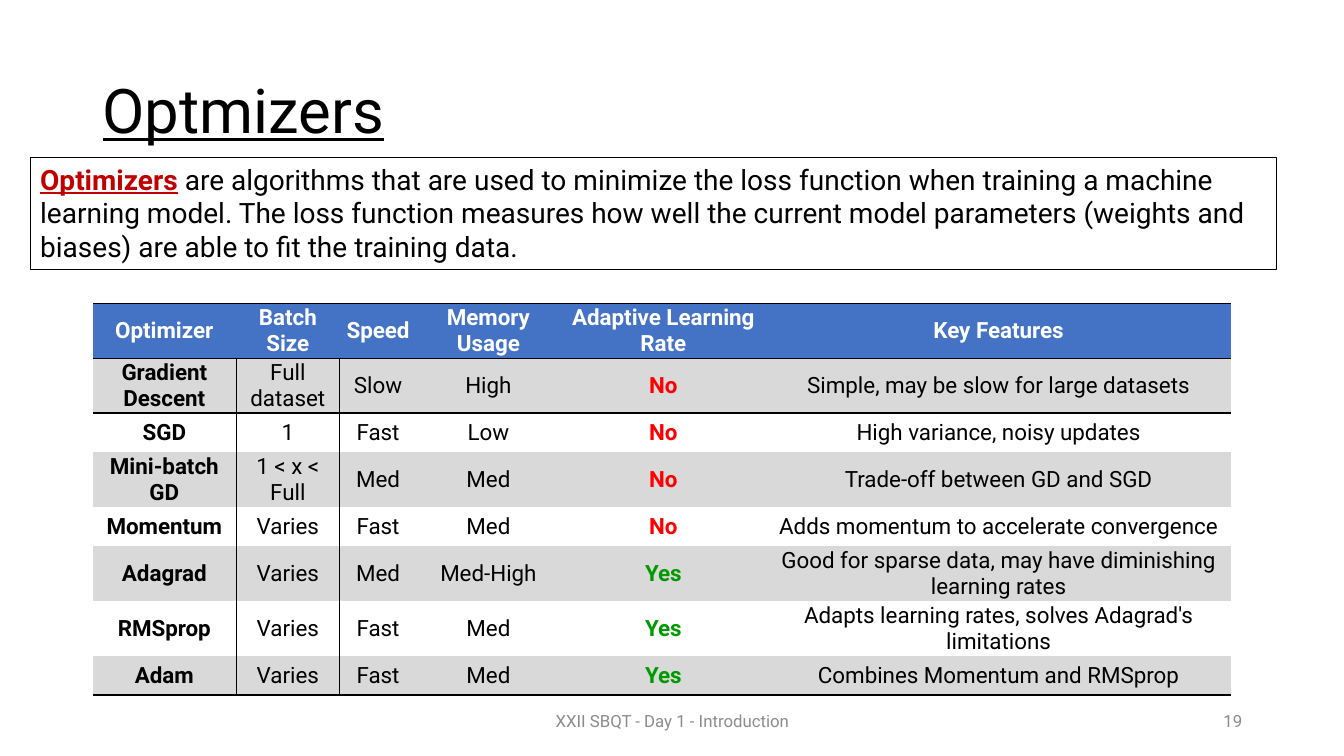
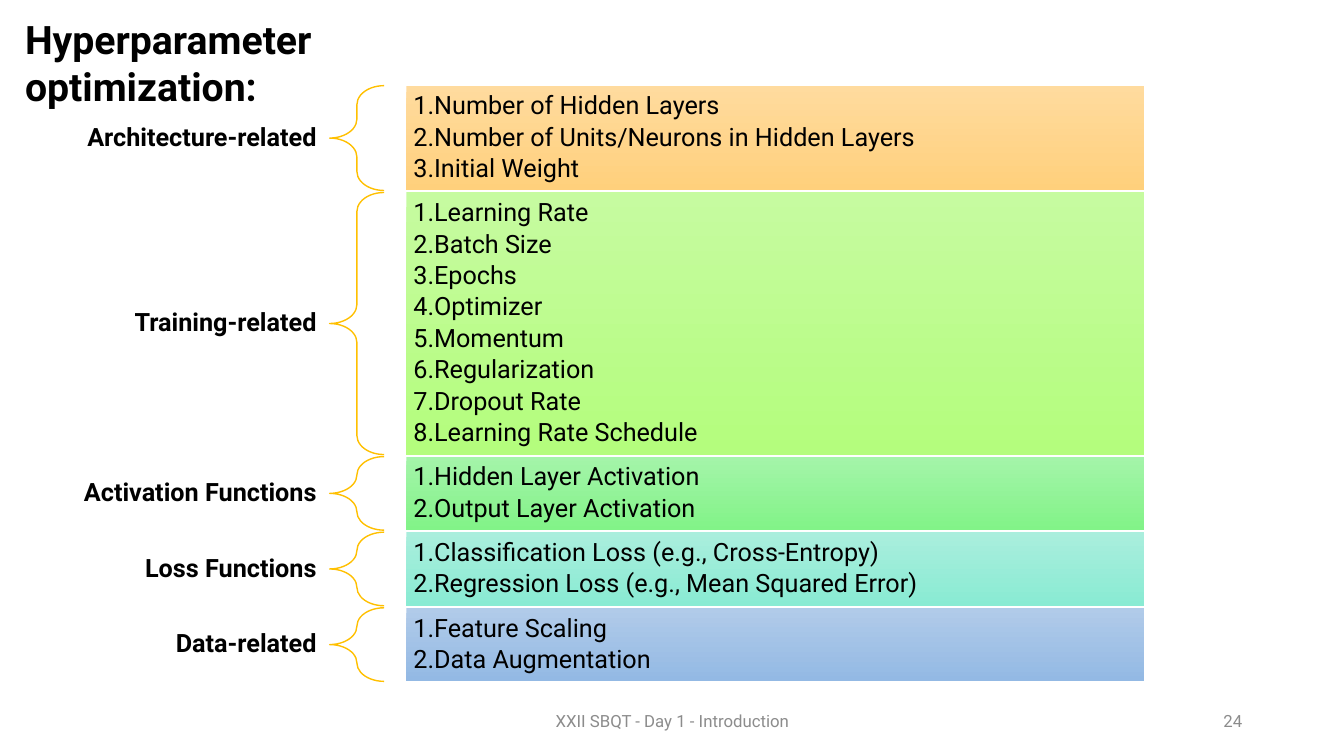
from lxml import etree
from pptx import Presentation
from pptx.dml.color import RGBColor
from pptx.enum.shapes import MSO_SHAPE
from pptx.enum.text import MSO_ANCHOR, PP_ALIGN
from pptx.oxml.ns import qn
from pptx.util import Inches, Pt

LEFT, CENTER, RIGHT = PP_ALIGN.LEFT, PP_ALIGN.CENTER, PP_ALIGN.RIGHT
TOP, MIDDLE = MSO_ANCHOR.TOP, MSO_ANCHOR.MIDDLE
RECTANGLE, LEFT_BRACE = MSO_SHAPE.RECTANGLE, MSO_SHAPE.LEFT_BRACE
NO_TABLE_STYLE = "{2D5ABB26-0587-4C30-8999-92F81FD0307C}"


class Theme:
    font = "Roboto"
    black, white, gray = "000000", "FFFFFF", "8C8C8C"
    header, band = "4472C4", "D9D9D9"
    accent, brace = "C00000", "FFC000"
    answers = {"No": "FF0000", "Yes": "009900"}
    title, heading, lead, item, cell, footer = 44, 28, 20, 18, 16, 12


def write(paragraph, text, size, color=Theme.black, bold=False, underline=False,
          align=LEFT, line_spacing=None, space_after=None):
    """Append a formatted run and set the format of its paragraph."""
    paragraph.alignment = align
    paragraph.line_spacing = line_spacing
    paragraph.space_after = space_after
    run = paragraph.add_run()
    run.text = text
    run.font.name = Theme.font
    run.font.size = Pt(size)
    run.font.bold = bold
    run.font.underline = underline
    run.font.color.rgb = RGBColor.from_string(color)


def add_text_box(slide, left, top, width, height, text, size, anchor=MIDDLE, margin=0.1, **text_format):
    shape = slide.shapes.add_textbox(Inches(left), Inches(top), Inches(width), Inches(height))
    frame = shape.text_frame
    frame.word_wrap = True
    frame.vertical_anchor = anchor
    frame.margin_left = frame.margin_right = Inches(margin)
    write(frame.paragraphs[0], text, size, **text_format)
    return shape


presentation = Presentation()
presentation.slide_width = Inches(13.33)
presentation.slide_height = Inches(7.5)
blank_layout = presentation.slide_layouts[6]

slides = []
for slide_number in ("19", "24"):
    slide = presentation.slides.add_slide(blank_layout)
    add_text_box(slide, 4.42, 6.95, 4.5, 0.4, "XXII SBQT - Day 1 - Introduction",
                 Theme.footer, color=Theme.gray, align=CENTER)
    add_text_box(slide, 9.42, 6.95, 3, 0.4, slide_number, Theme.footer, color=Theme.gray, align=RIGHT)
    slides.append(slide)
optimizer_slide, hyperparameter_slide = slides

# Optimizers: definition and comparison table
add_text_box(optimizer_slide, 0.92, 0.4, 11.5, 1.45, "Optmizers", Theme.title,
             underline=True, line_spacing=0.9)
definition = add_text_box(optimizer_slide, 0.3, 1.56, 12.36, 1.11, "Optimizers", Theme.lead,
                          anchor=TOP, color=Theme.accent, bold=True, underline=True)
write(definition.text_frame.paragraphs[0],
      " are algorithms that are used to minimize the loss function when training a machine "
      "learning model. The loss function measures how well the current model parameters "
      "(weights and biases) are able to fit the training data.", Theme.lead)
definition.line.color.rgb = RGBColor.from_string(Theme.black)
definition.line.width = Pt(0.75)

column_widths = [1.42, 1.03, 0.76, 1.43, 2.04, 4.61]
row_height = 0.39
optimizer_rows = [
    ["Optimizer", "Batch Size", "Speed", "Memory Usage", "Adaptive Learning Rate", "Key Features"],
    ["Gradient Descent", "Full dataset", "Slow", "High", "No", "Simple, may be slow for large datasets"],
    ["SGD", "1", "Fast", "Low", "No", "High variance, noisy updates"],
    ["Mini-batch GD", "1 < x < Full", "Med", "Med", "No", "Trade-off between GD and SGD"],
    ["Momentum", "Varies", "Fast", "Med", "No", "Adds momentum to accelerate convergence"],
    ["Adagrad", "Varies", "Med", "Med-High", "Yes",
     "Good for sparse data, may have diminishing learning rates"],
    ["RMSprop", "Varies", "Fast", "Med", "Yes", "Adapts learning rates, solves Adagrad's limitations"],
    ["Adam", "Varies", "Fast", "Med", "Yes", "Combines Momentum and RMSprop"],
]
last_row = len(optimizer_rows) - 1
table = optimizer_slide.shapes.add_table(
    len(optimizer_rows), len(column_widths), Inches(0.92), Inches(3.01),
    Inches(sum(column_widths)), Inches(row_height * len(optimizer_rows))).table
table._tbl.tblPr.find(qn("a:tableStyleId")).text = NO_TABLE_STYLE
for column, width in zip(table.columns, column_widths):
    column.width = Inches(width)

for row_index, row_texts in enumerate(optimizer_rows):
    table.rows[row_index].height = Inches(row_height)
    is_header = row_index == 0
    for column_index, text in enumerate(row_texts):
        cell = table.cell(row_index, column_index)
        cell.vertical_anchor = MIDDLE
        cell.margin_left = cell.margin_right = cell.margin_top = Inches(0.01)
        cell.margin_bottom = 0
        color = Theme.white if is_header else Theme.answers.get(text, Theme.black)
        bold = is_header or column_index == 0 or text in Theme.answers
        write(cell.text_frame.paragraphs[0], text, Theme.cell, color=color, bold=bold, align=CENTER)

        if row_index % 2 or is_header:
            cell.fill.solid()
            cell.fill.fore_color.rgb = RGBColor.from_string(Theme.header if is_header else Theme.band)
        else:
            cell.fill.background()

        borders = {}
        if not is_header and column_index < 2:
            borders["a:lnR" if column_index == 0 else "a:lnL"] = 0.5
        if row_index < 2:
            borders["a:lnT"] = 1
        if row_index in (0, last_row):
            borders["a:lnB"] = 1
        properties = cell._tc.get_or_add_tcPr()
        for position, (tag, width) in enumerate(borders.items()):
            border = etree.Element(qn(tag), w=str(Pt(width)))
            line_fill = etree.SubElement(border, qn("a:solidFill"))
            etree.SubElement(line_fill, qn("a:srgbClr"), val=Theme.black)
            properties.insert(position, border)

# Hyperparameters: label, brace and numbered list for each category
add_text_box(hyperparameter_slide, 0.15, 0.1, 5.25, 0.57, "Hyperparameter optimization:",
             Theme.heading, anchor=TOP, bold=True)
categories = [
    ("Architecture-related", 1.04, ("FFDB9E", "FFD07C"),
     ["Number of Hidden Layers", "Number of Units/Neurons in Hidden Layers", "Initial Weight"]),
    ("Training-related", 2.6, ("C6FBA0", "B4FD7D"),
     ["Learning Rate", "Batch Size", "Epochs", "Optimizer", "Momentum", "Regularization",
      "Dropout Rate", "Learning Rate Schedule"]),
    ("Activation Functions", 0.73, ("A4F4A9", "82F388"),
     ["Hidden Layer Activation", "Output Layer Activation"]),
    ("Loss Functions", 0.73, ("AAEEDD", "89EBD3"),
     ["Classification Loss (e.g., Cross-Entropy)", "Regression Loss (e.g., Mean Squared Error)"]),
    ("Data-related", 0.73, ("B1CBE9", "93B9E4"), ["Feature Scaling", "Data Augmentation"]),
]
category_gap = 0.02
label_height = 0.36
list_indent = Inches(0.19)
top = 0.85
for label, height, gradient_colors, items in categories:
    add_text_box(hyperparameter_slide, 0.59, top + (height - label_height) / 2, 2.69, label_height,
                 label, Theme.item, margin=0.14, bold=True, align=RIGHT, line_spacing=0.9)

    brace = hyperparameter_slide.shapes.add_shape(
        LEFT_BRACE, Inches(3.27), Inches(top), Inches(0.54), Inches(height))
    brace.shadow.inherit = False
    brace.adjustments[0] = 0.35
    brace.fill.background()
    brace.line.color.rgb = RGBColor.from_string(Theme.brace)
    brace.line.width = Pt(1)

    panel = hyperparameter_slide.shapes.add_shape(
        RECTANGLE, Inches(4.03), Inches(top), Inches(7.32), Inches(height))
    panel.shadow.inherit = False
    panel.line.fill.background()
    panel.fill.gradient()
    panel.fill.gradient_angle = 270
    for stop, color in zip(panel.fill.gradient_stops, gradient_colors):
        stop.color.rgb = RGBColor.from_string(color)

    frame = panel.text_frame
    frame.word_wrap = True
    frame.vertical_anchor = MIDDLE
    frame.margin_left = frame.margin_right = frame.margin_top = frame.margin_bottom = Inches(0.07)
    for item_index, item in enumerate(items):
        paragraph = frame.add_paragraph() if item_index else frame.paragraphs[0]
        properties = paragraph._p.get_or_add_pPr()
        properties.set("marL", str(list_indent))
        properties.set("indent", str(-list_indent))
        etree.SubElement(properties, qn("a:buFont"), typeface=Theme.font)
        etree.SubElement(properties, qn("a:buAutoNum"), type="arabicPeriod")
        write(paragraph, item, Theme.item, line_spacing=0.9, space_after=Pt(3))
    top += height + category_gap

presentation.save("out.pptx")
